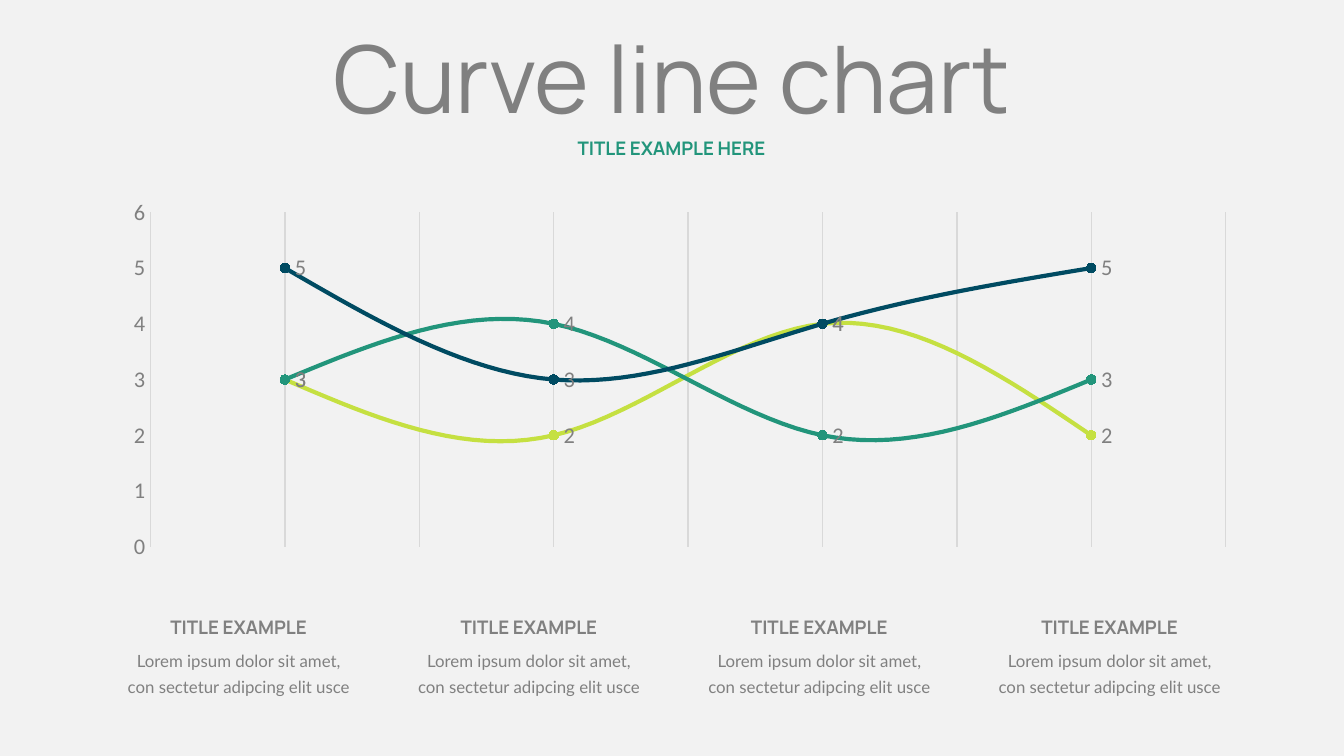
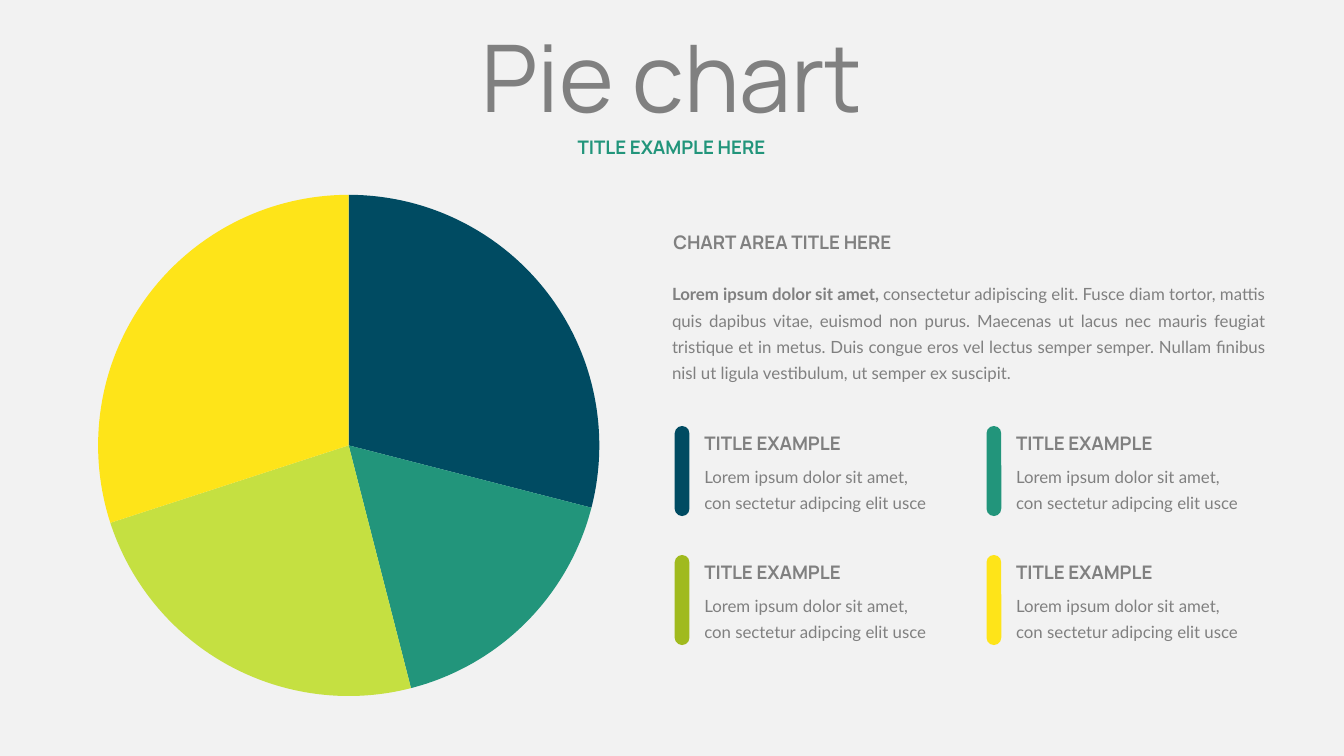
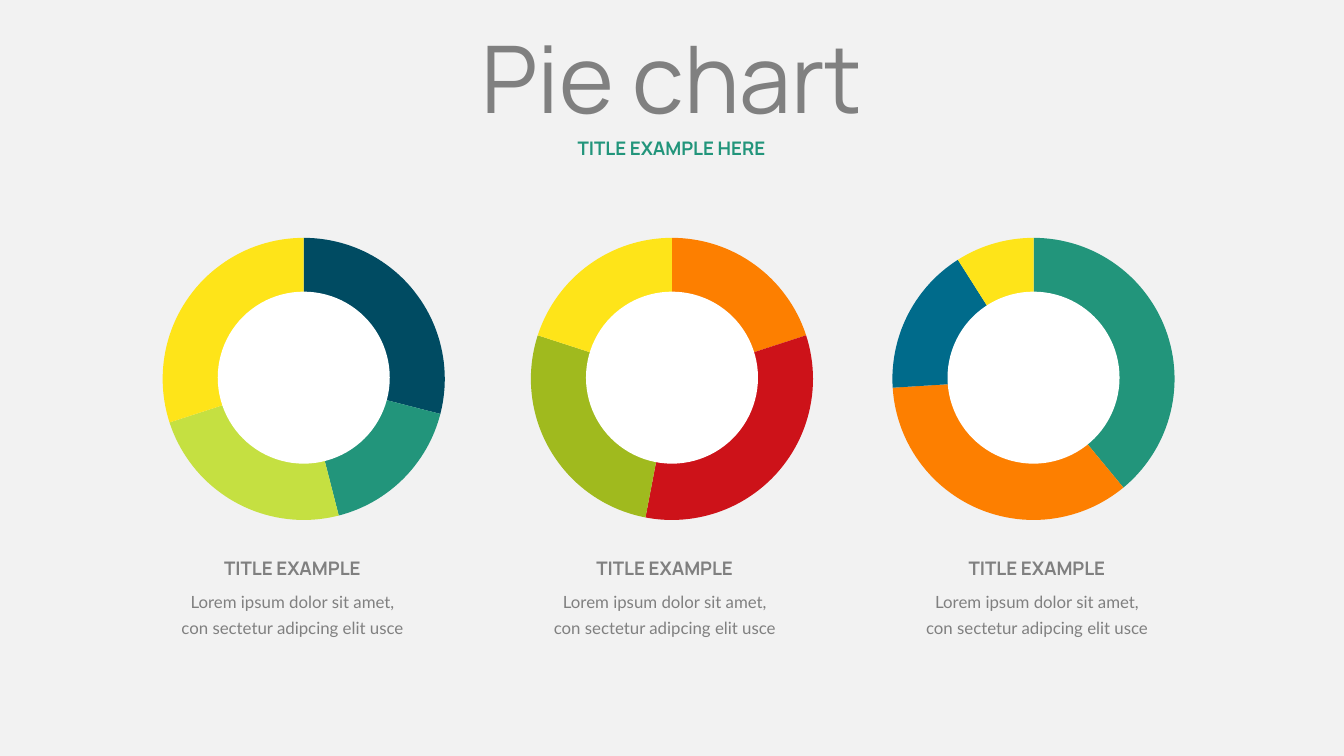
from pptx import Presentation, util as u
from pptx.chart import data as cd
from pptx.chart.datalabel import DataLabels
from pptx.dml.color import RGBColor
from pptx.enum import chart as ch, shapes as sh, text as tx
from pptx.oxml import parse_xml
from pptx.oxml.ns import nsdecls, qn

PAPER, GREY, RULE, WHITE = "F2F2F2", "808080", "D9D9D9", "FFFFFF"
NAVY, TEAL, LIME, YELLOW = "004B62", "22957B", "C5E041", "FEE419"
OLIVE, ORANGE, RED, BLUE = "A0BA1E", "FD7F00", "CD1219", "006B8B"

LEFT, MID, JUST = tx.PP_ALIGN.LEFT, tx.PP_ALIGN.CENTER, tx.PP_ALIGN.JUSTIFY
TITLE = dict(name="Manrope", size=u.Pt(50), bold=False)
LABEL = dict(name="Manrope", size=u.Pt(10), bold=True)
BODY = dict(name="Lato", size=u.Pt(9), bold=False)
TICK = dict(name="Calibri", size=u.Pt(12))
SMALL = dict(name="Calibri", size=u.Pt(10))
LOREM = "Lorem ipsum dolor sit amet, con sectetur adipcing elit usce"


def rgb(code):
    return RGBColor.from_string(code)


def put(obj, **vals):
    for key, val in vals.items():
        setattr(obj, key, val)


def inches(*box):
    return [u.Inches(n) for n in box]


def style(font, look, color=GREY):
    put(font, **look)
    font.color.rgb = rgb(color)


def paint(fill, color):
    fill.solid()
    fill.fore_color.rgb = rgb(color)


def fill_text(frame, runs, align, pads, line, gap, color=GREY):
    left, top, right, base = inches(*pads)
    put(frame, word_wrap=True, auto_size=tx.MSO_AUTO_SIZE.NONE,
        margin_left=left, margin_top=top, margin_right=right, margin_bottom=base)
    para = frame.paragraphs[0]
    put(para, alignment=align, line_spacing=line, space_before=u.Pt(gap))
    for words, look in runs:
        run = para.add_run()
        run.text = words
        style(run.font, look, color)


def add_label(slide, box, words, align=LEFT, color=GREY):
    frame = slide.shapes.add_textbox(*inches(*box)).text_frame
    fill_text(frame, [(words, LABEL)], align, (0, 0.08, 0, 0.08), 0.9, 7.5, color)


def add_body(slide, box, runs, align=LEFT, pads=(0, 0, 0, 0)):
    frame = slide.shapes.add_textbox(*inches(*box)).text_frame
    fill_text(frame, runs, align, pads, u.Pt(14), 7.5)


def add_note(slide, left, top, align=LEFT):
    add_label(slide, (left, top, 1.71, 0.33), "TITLE EXAMPLE", align)
    add_body(slide, (left, top + 0.28, 1.71, 0.39), [(LOREM, BODY)], align)


def add_form(slide, kind, box, color):
    form = slide.shapes.add_shape(kind, *inches(*box))
    form.shadow.inherit = False
    paint(form.fill, color)
    form.line.fill.background()
    return form


def new_slide(deck, title, top=0.28):
    slide = deck.slides.add_slide(deck.slide_layouts[5])
    paint(slide.background.fill, PAPER)
    head = slide.shapes.title
    left, high, width, height = inches(2.04, top, 5.92, 0.68)
    put(head, left=left, top=high, width=width, height=height)
    head.text_frame.vertical_anchor = tx.MSO_ANCHOR.MIDDLE
    fill_text(head.text_frame, [(title, TITLE)], MID, (0.1, 0.05, 0.1, 0.05), 0.9, 10)
    add_label(slide, (3.5, top + 0.68, 2.99, 0.33), "TITLE EXAMPLE HERE", MID, TEAL)
    return slide


def add_chart(slide, kind, box, data, plot):
    chart = slide.shapes.add_chart(kind, *inches(*box), data).chart
    put(chart, has_legend=False, has_title=False)
    style(chart.font, SMALL)
    area = chart._chartSpace.chart.plotArea
    for old in area.findall(qn("c:layout")):
        area.remove(old)
    wide, high = box[2:]
    spots = "".join(f'<c:{key} val="{val / full}"/>'
                    for key, val, full in zip("xywh", plot, (wide, high, wide, high)))
    area.insert(0, parse_xml(
        f'<c:layout {nsdecls("c")}><c:manualLayout><c:layoutTarget val="inner"/>'
        f'<c:xMode val="edge"/><c:yMode val="edge"/>{spots}</c:manualLayout></c:layout>'))
    return chart


def add_pie(slide, box, vals, colors, plot):
    data = cd.CategoryChartData()
    data.categories = ["1", "2", "3", "4"]
    data.add_series("Series 1", vals)
    chart = add_chart(slide, ch.XL_CHART_TYPE.PIE, box, data, plot)
    chart.plots[0].vary_by_categories = True
    for i, color in enumerate(colors):
        look = chart.plots[0].series[0].points[i].format
        paint(look.fill, color)
        look.line.fill.background()


def add_curves(slide, box, rows):
    data = cd.XyChartData()
    for i, (vals, color) in enumerate(rows, 1):
        line = data.add_series(f"Series {i}")
        for x, y in enumerate(vals, 1):
            line.add_data_point(x, y)
    chart = add_chart(slide, ch.XL_CHART_TYPE.XY_SCATTER_SMOOTH, box, data,
                      (0.29, 0.16, 8, 2.49))
    chart.plots[0].vary_by_categories = False
    across, up = chart.category_axis, chart.value_axis
    put(across, visible=False, has_major_gridlines=True,
        minimum_scale=0.5, maximum_scale=4.5, major_unit=0.5)
    grid = across.major_gridlines.format.line
    grid.color.rgb, grid.width = rgb(RULE), u.Pt(0.75)
    put(up, has_major_gridlines=False, minimum_scale=0, maximum_scale=6, major_unit=1,
        major_tick_mark=ch.XL_TICK_MARK.NONE)
    up.format.line.fill.background()
    style(up.tick_labels.font, TICK)
    for line, (vals, color) in zip(chart.plots[0].series, rows):
        line.format.line.color.rgb = rgb(color)
        line.format.line.width = u.Pt(2.25)
        put(line.marker, style=ch.XL_MARKER_STYLE.CIRCLE, size=5)
        paint(line.marker.format.fill, color)
        line.marker.format.line.color.rgb = rgb(color)
        line._element.get_or_add_smooth().val = True
        tags = DataLabels(line._element.get_or_add_dLbls())
        put(tags, show_value=True, position=ch.XL_LABEL_POSITION.RIGHT)
        style(tags.font, TICK)


def curve_slide(deck):
    slide = new_slide(deck, "Curve line chart")
    for i in range(4):
        add_note(slide, 0.92 + 2.16 * i, 4.52, MID)
    add_curves(slide, (0.83, 1.42, 8.46, 2.8),
               [((5, 3, 4, 5), NAVY), ((3, 4, 2, 3), TEAL), ((3, 2, 4, 2), LIME)])


def add_key(slide, left, top, color):
    add_note(slide, left + 0.22, top, LEFT)
    bar = add_form(slide, sh.MSO_SHAPE.ROUNDED_RECTANGLE,
                   (left, top + 0.02, 0.11, 0.67), color)
    bar.adjustments[0] = 0.5


def pie_slide(deck):
    slide = new_slide(deck, "Pie chart", 0.27)
    add_pie(slide, (0.44, 1.28, 4.18, 3.95), (29, 17, 24, 30),
            (NAVY, TEAL, LIME, YELLOW), (0.28, 0.17, 3.75, 3.73))
    add_label(slide, (5.01, 1.66, 4.48, 0.33), "CHART AREA TITLE HERE")
    add_body(slide, (5, 1.99, 4.49, 0.95), [
        ("Lorem ipsum dolor sit amet, ", {**BODY, "bold": True}),
        ("consectetur adipiscing elit. Fusce diam tortor, mattis quis dapibus vitae, "
         "euismod non purus. Maecenas ut lacus nec mauris feugiat tristique et in metus. "
         "Duis congue eros vel lectus semper semper. Nullam finibus nisl ut ligula "
         "vestibulum, ut semper ex suscipit. ", BODY)], JUST, (0, 0.08, 0.08, 0.08))
    for i, color in enumerate((NAVY, TEAL, OLIVE, YELLOW)):
        add_key(slide, 5.02 + 2.32 * (i % 2), 3.15 + 0.96 * (i // 2), color)


def add_ring(slide, left, top, vals, colors):
    add_pie(slide, (left, top, 2.38, 2.8), vals, colors, (0.14, 0.35, 2.1, 2.1))
    add_form(slide, sh.MSO_SHAPE.OVAL, (left + 0.55, top + 0.75, 1.28, 1.28), WHITE)


def ring_slide(deck):
    slide = new_slide(deck, "Pie chart")
    rings = [(1.07, (29, 17, 24, 30), (NAVY, TEAL, LIME, YELLOW)),
             (3.81, (20, 33, 27, 20), (ORANGE, RED, OLIVE, YELLOW)),
             (6.5, (39, 35, 17, 9), (TEAL, ORANGE, BLUE, YELLOW))]
    for i, (left, vals, colors) in enumerate(rings):
        add_note(slide, 1.32 + 2.77 * i, 4.08, MID)
        add_ring(slide, left, 1.42, vals, colors)


def main():
    deck = Presentation()
    wide = u.Inches(10)
    put(deck, slide_width=wide, slide_height=wide * 9 // 16)
    for build in (curve_slide, pie_slide, ring_slide):
        build(deck)
    deck.save("out.pptx")


if __name__ == "__main__":
    main()
